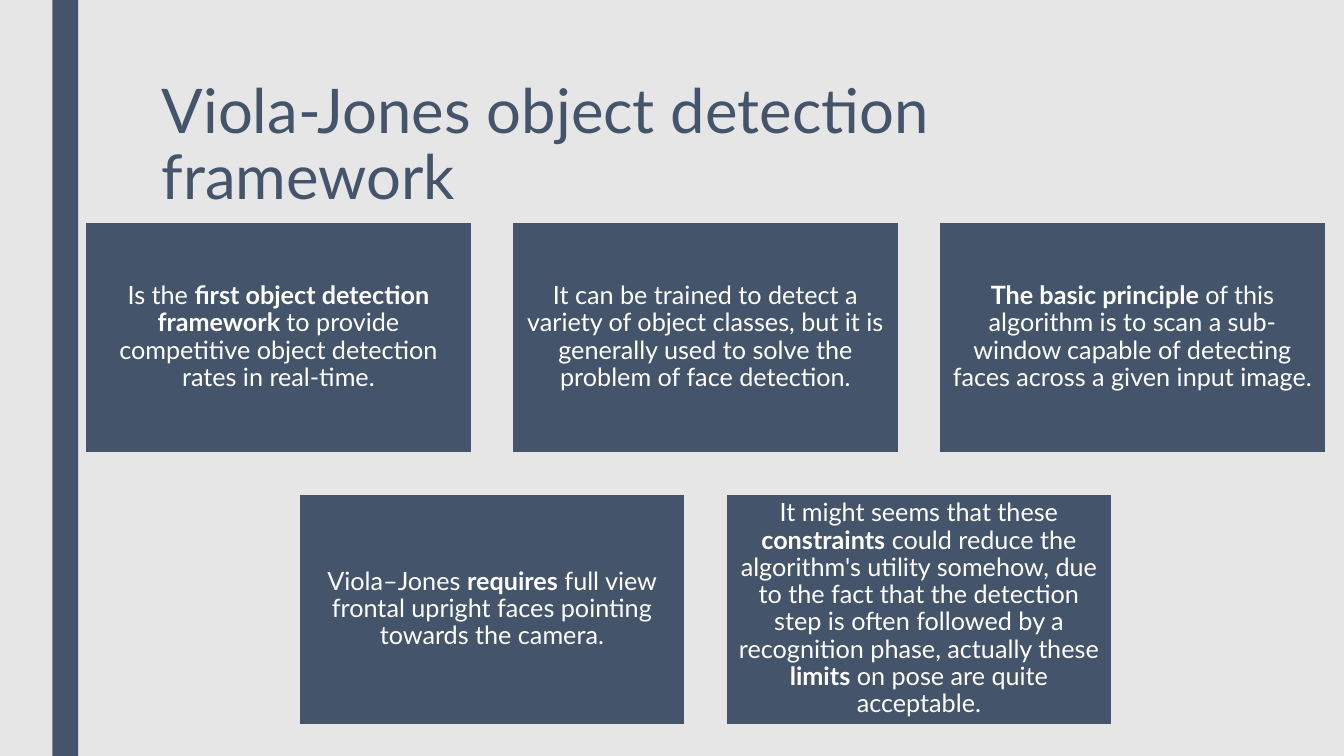
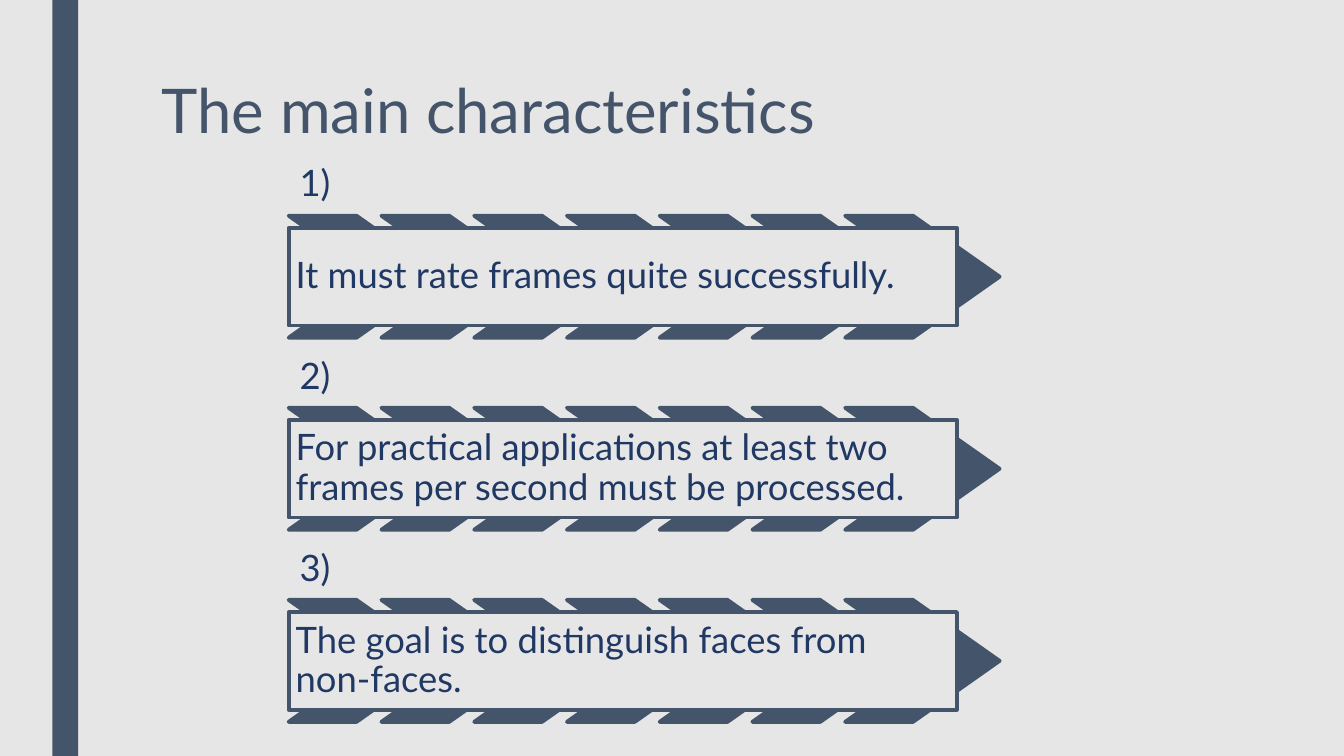
from pptx import Presentation
from pptx.dml.color import RGBColor
from pptx.enum.shapes import MSO_SHAPE
from pptx.enum.text import MSO_ANCHOR, MSO_AUTO_SIZE, PP_ALIGN
from pptx.util import Pt

COLORS = {"slate": "44546A", "paper": "E7E6E6", "navy": "203864", "white": "FFFFFF"}
FONT = "Lato"
OUTLINE = 2.75
PAGE_WIDTH, PAGE_HEIGHT = 960, 540

# Each card is a list of (text, bold) spans; each list of cards is a row
CARD_ROWS = [
    [
        [("Is the ", False), ("first object detection framework ", True),
         ("to provide competitive object detection rates in real-time.", False)],
        [("It can be trained to detect a variety of object classes, but it is "
          "generally used to solve the problem of face detection.", False)],
        [("The basic principle ", True),
         ("of this algorithm is to scan a sub-window capable of detecting "
          "faces across a given input image.", False)],
    ],
    [
        [("Viola–Jones ", False), ("requires", True),
         (" full view frontal upright faces pointing towards the camera.", False)],
        [("It might seems that these ", False), ("constraints", True),
         (" could reduce the algorithm's utility somehow, due to the fact that "
          "the detection step is often followed by a recognition phase, "
          "actually these ", False),
         ("limits", True), (" on pose are quite acceptable.", False)],
    ],
]

CHARACTERISTICS = [
    "It must rate frames quite successfully.",
    "For practical applications at least two frames per second must be processed.",
    "The goal is to distinguish faces from non-faces.",
]


def color(name):
    return RGBColor.from_string(COLORS[name])


def add_box(page, kind, left, top, width, height, fill, line=None):
    """Add a flat preset shape, outlined only when a line colour is given."""
    box = page.shapes.add_shape(kind, Pt(left), Pt(top), Pt(width), Pt(height))
    box.shadow.inherit = False
    box.fill.solid()
    box.fill.fore_color.rgb = color(fill)
    if line:
        box.line.color.rgb = color(line)
        box.line.width = Pt(OUTLINE)
    else:
        box.line.fill.background()
    return box


def write(box, spans, size, ink, align=PP_ALIGN.LEFT, anchor=MSO_ANCHOR.MIDDLE,
          inset=5, spacing=0.9):
    """Fill a box with one paragraph of (text, bold) spans."""
    frame = box.text_frame
    frame.word_wrap = True
    frame.auto_size = MSO_AUTO_SIZE.NONE
    frame.vertical_anchor = anchor
    frame.margin_left = frame.margin_right = Pt(inset)
    frame.margin_top = frame.margin_bottom = Pt(inset)
    para = frame.paragraphs[0]
    para.alignment = align
    para.line_spacing = spacing
    for text, bold in spans:
        span = para.add_run()
        span.text = text
        span.font.name = FONT
        span.font.size = Pt(size)
        span.font.bold = bold
        span.font.color.rgb = color(ink)


def add_page(deck, title):
    page = deck.slides.add_slide(deck.slide_layouts.get_by_name("Title Only"))
    box = page.shapes.title
    box.left, box.top, box.width, box.height = Pt(108.2), Pt(54), Pt(756), Pt(62.6)
    write(box, [(title, False)], 44, "slate", anchor=MSO_ANCHOR.TOP, spacing=0.89)
    box.text_frame.margin_left = box.text_frame.margin_right = Pt(7.2)
    box.text_frame.margin_top = box.text_frame.margin_bottom = Pt(3.6)
    return page


def style_master(deck, page):
    """Give the master its background and move the side band onto it."""
    master = deck.slide_master
    master.background.fill.solid()
    master.background.fill.fore_color.rgb = color("paper")
    band = add_box(page, MSO_SHAPE.RECTANGLE, 37.5, 0, 18.3, PAGE_HEIGHT, "slate")
    master.shapes.element.insert(2, band.element)


def add_card_rows(page, rows):
    """Lay out rows of equal cards, each row centred on one axis."""
    axis, top = 503.9, 157.8
    width, height, gap = 277.3, 166.4, 27.7
    for row, cards in enumerate(rows):
        row_width = len(cards) * (width + gap) - gap
        for column, spans in enumerate(cards):
            card = add_box(page, MSO_SHAPE.RECTANGLE,
                           axis - row_width / 2 + column * (width + gap),
                           top + row * (height + gap),
                           width, height, "slate", "paper")
            write(card, spans, 18, "white", align=PP_ALIGN.CENTER)


def add_arrow_item(page, number, text, left, top):
    """Add a number, a train of chevrons and the panel lying over it."""
    chevron_height, panel_height, label_height = 87.1, 69.7, 43
    label = page.shapes.add_textbox(Pt(left), Pt(top - label_height),
                                    Pt(471.6), Pt(label_height))
    write(label, [(f"{number})", False)], 26, "navy",
          anchor=MSO_ANCHOR.BOTTOM, inset=7.8)
    for step in range(7):
        chevron = add_box(page, MSO_SHAPE.CHEVRON, left + step * 66.25, top,
                          110.3, chevron_height, "slate", "slate")
        chevron.adjustments[0] = 0.71
    panel = add_box(page, MSO_SHAPE.RECTANGLE, left,
                    top + (chevron_height - panel_height) / 2,
                    477.4, panel_height, "paper", "slate")
    write(panel, [(text, False)], 26, "navy")


def main():
    deck = Presentation()
    deck.slide_width, deck.slide_height = Pt(PAGE_WIDTH), Pt(PAGE_HEIGHT)

    # Framework overview
    page = add_page(deck, "Viola-Jones object detection framework")
    add_card_rows(page, CARD_ROWS)
    style_master(deck, page)

    # Numbered characteristics
    page = add_page(deck, "The main characteristics")
    for index, text in enumerate(CHARACTERISTICS):
        add_arrow_item(page, index + 1, text, 206.2, 154.1 + index * 137.2)

    deck.save("out.pptx")


if __name__ == "__main__":
    main()
